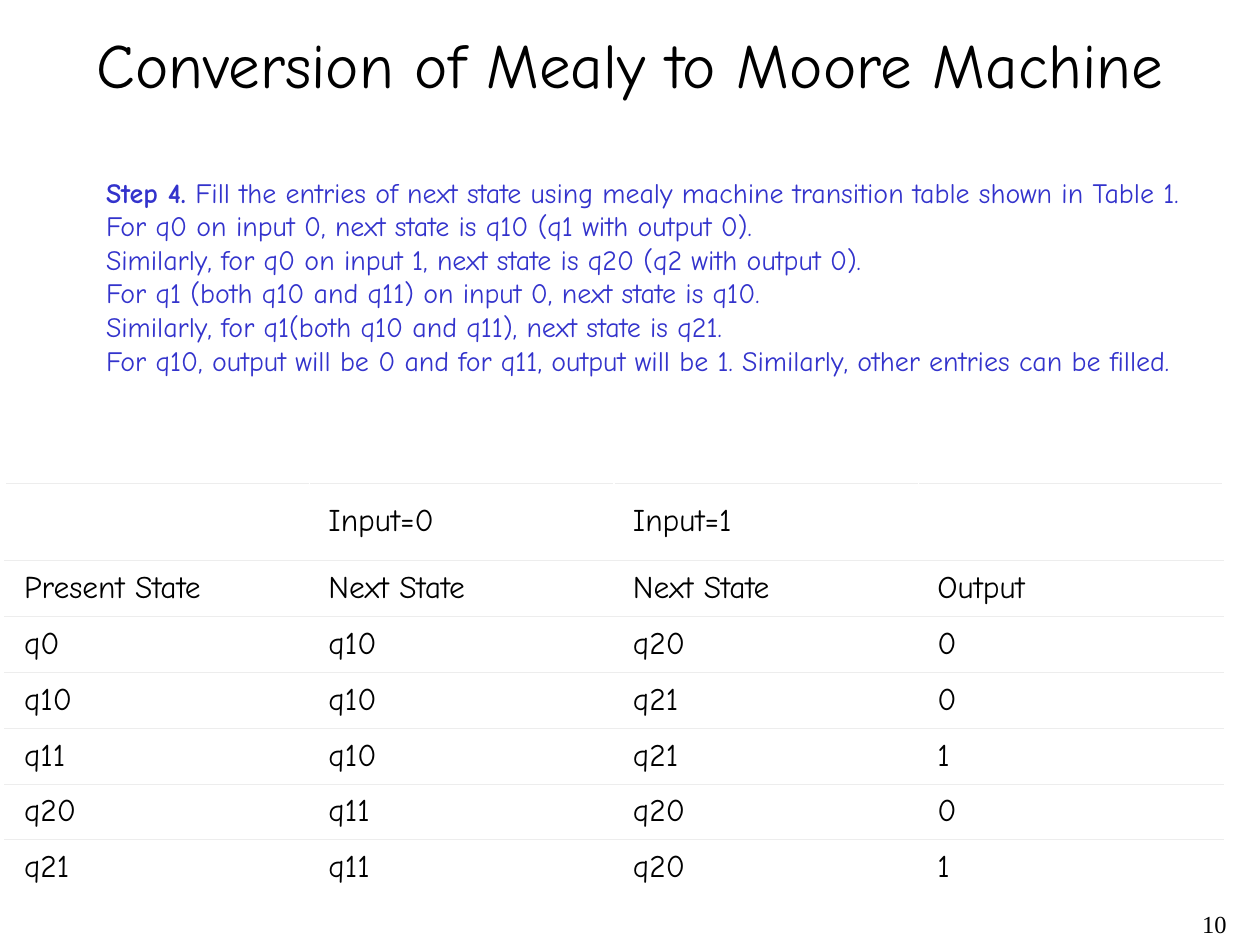
"""Build the slide on step 4 of converting a Mealy machine to a Moore machine."""
from lxml import etree
from pptx import Presentation, util as u
from pptx.dml.color import RGBColor
from pptx.enum import shapes, text
from pptx.oxml import ns

THEME = {
    "body": "Comic Neue", "number": "Times New Roman",
    "black": "000000", "blue": "3333CC", "white": "FFFFFF", "rule": "EDEDED",
    "title_size": 36, "table_size": 18, "step_size": 16, "number_size": 14,
}
PX = u.Inches(1) // 126


def style(frame, font, size, color, align=text.PP_ALIGN.LEFT):
    frame.word_wrap = True
    for paragraph in frame.paragraphs:
        paragraph.alignment = align
        for run in paragraph.runs:
            run.font.name = THEME[font]
            run.font.size = u.Pt(THEME[size])
            run.font.color.rgb = RGBColor.from_string(THEME[color])


def add_rule(cell, edge):
    line = etree.Element(ns.qn(f"a:{edge}"), w=str(u.Pt(0.34)))
    fill = etree.SubElement(line, ns.qn("a:solidFill"))
    etree.SubElement(fill, ns.qn("a:srgbClr"), val=THEME["rule"])
    cell._tc.get_or_add_tcPr().insert(0, line)


deck = Presentation()
deck.slide_width, deck.slide_height = 1260 * PX, 945 * PX
slide = deck.slides.add_slide(deck.slide_layouts[6])

title = slide.shapes.add_textbox(21 * PX, 21 * PX, 1218 * PX, 84 * PX).text_frame
title.text = "Conversion of Mealy to Moore Machine"
title.vertical_anchor = text.MSO_ANCHOR.MIDDLE
style(title, "body", "title_size", "black", text.PP_ALIGN.CENTER)

page_number = slide.shapes.add_textbox(977 * PX, 903 * PX, 262 * PX, 42 * PX).text_frame
page_number.text = "10"
style(page_number, "number", "number_size", "black", text.PP_ALIGN.RIGHT)

transitions = [
    ["", "Input=0", "Input=1", ""],
    ["Present State", "Next State", "Next State", "Output"],
    ["q0", "q10", "q20", "0"],
    ["q10", "q10", "q21", "0"],
    ["q11", "q10", "q21", "1"],
    ["q20", "q11", "q20", "0"],
    ["q21", "q11", "q20", "1"],
]
state_table = slide.shapes.add_table(
    len(transitions), 4, 5 * PX, 483 * PX, 1218 * PX, 414 * PX).table
state_table.first_row = state_table.horz_banding = False
for column in state_table.columns:
    column.width = 1218 * PX // 4
for row_index, entries in enumerate(transitions):
    state_table.rows[row_index].height = (56 if row_index else 77) * PX
    for column_index, entry in enumerate(entries):
        cell = state_table.cell(row_index, column_index)
        cell.text = entry
        cell.vertical_anchor = text.MSO_ANCHOR.MIDDLE
        cell.margin_left = cell.margin_right = 19 * PX
        cell.margin_top = cell.margin_bottom = 6 * PX
        cell.fill.solid()
        cell.fill.fore_color.rgb = RGBColor.from_string(THEME["white"])
        style(cell.text_frame, "body", "table_size", "black")
        if row_index < len(transitions) - 1:
            add_rule(cell, "lnB")
        add_rule(cell, "lnT")

instructions = [
    "Fill the entries of next state using mealy machine transition table shown in Table 1.",
    "For q0 on input 0, next state is q10 (q1 with output 0).",
    "Similarly, for q0 on input 1, next state is q20 (q2 with output 0).",
    "For q1 (both q10 and q11) on input 0, next state is q10.",
    "Similarly, for q1(both q10 and q11), next state is q21.",
    "For q10, output will be 0 and for q11, output will be 1. Similarly, other entries can be filled.",
]
step_panel = slide.shapes.add_shape(
    shapes.MSO_SHAPE.RECTANGLE, 106 * PX, 175 * PX, 1090 * PX, 202 * PX)
step_panel.shadow.inherit = False
step_panel.fill.solid()
step_panel.fill.fore_color.rgb = RGBColor.from_string(THEME["white"])
step_panel.line.fill.background()
step = step_panel.text_frame
step.margin_left = step.margin_right = step.margin_top = step.margin_bottom = 0
step.vertical_anchor = text.MSO_ANCHOR.MIDDLE
step.text = "\n".join(instructions)
opening = step.paragraphs[0]
opening.text = "Step 4."
opening.runs[0].font.bold = True
opening.add_run().text = " " + instructions[0]
style(step, "body", "step_size", "blue")

deck.save("out.pptx")
